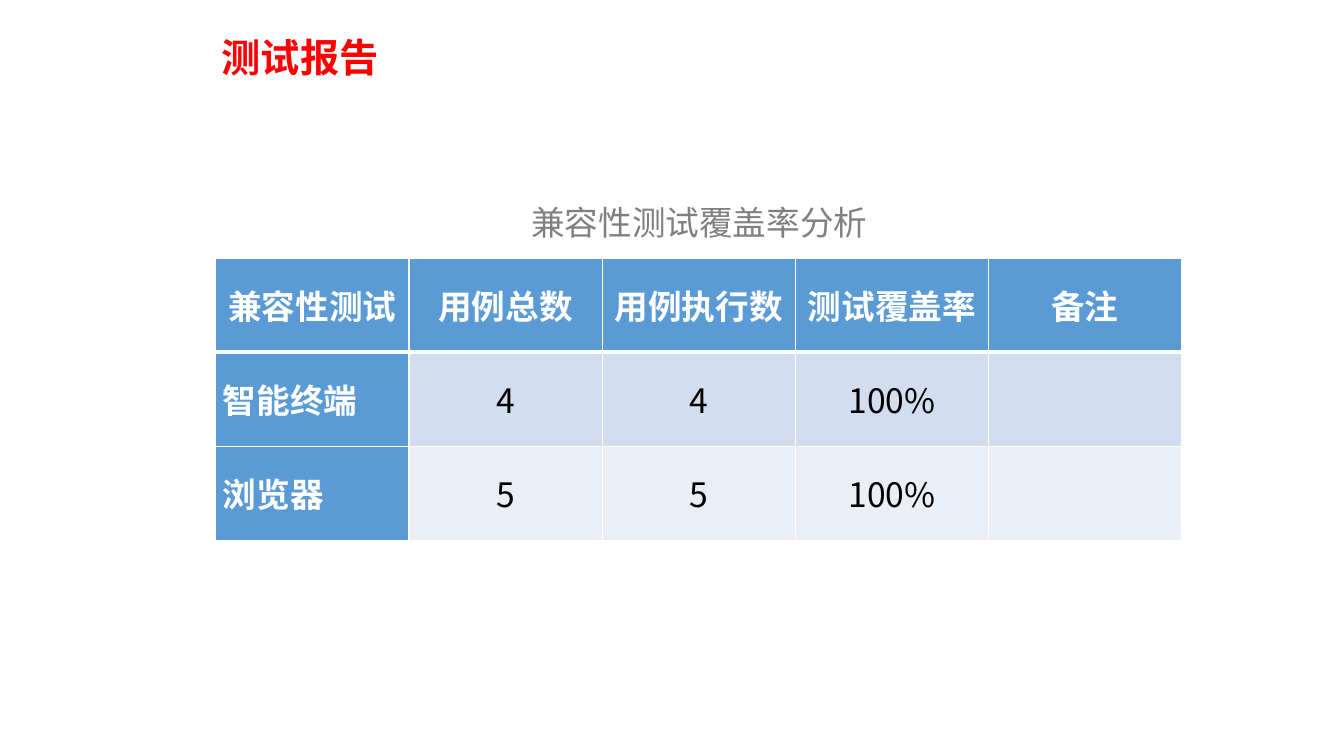
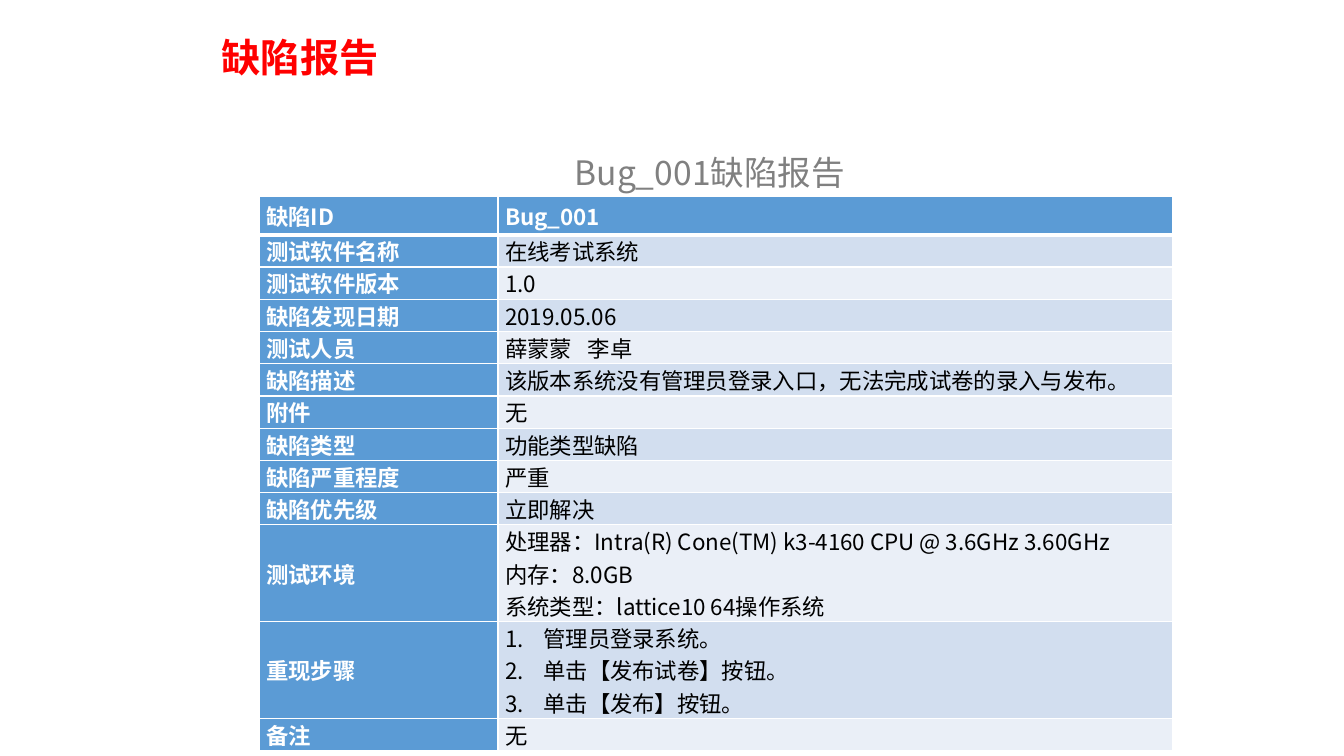
"""Build the test report and defect report slides."""
from lxml.etree import SubElement
from pptx import Presentation
from pptx.dml.color import RGBColor as RGB
from pptx.enum.text import MSO_ANCHOR as Anchor, MSO_AUTO_SIZE as AutoSize, PP_ALIGN as Align
from pptx.oxml.ns import qn
from pptx.util import Inches, Pt

FONT = "Noto Sans CJK SC"
RED = RGB(0xFF, 0x00, 0x00)
GRAY = RGB(0x80, 0x80, 0x80)
WHITE = RGB(0xFF, 0xFF, 0xFF)
BLACK = RGB(0x00, 0x00, 0x00)
BLUE = RGB(0x5B, 0x9B, 0xD5)
BANDS = (RGB(0xD2, 0xDE, 0xEF), RGB(0xEA, 0xEF, 0xF7))

COVERAGE = [
    ("兼容性测试", "用例总数", "用例执行数", "测试覆盖率", "备注"),
    ("智能终端", "4", "4", "100%", ""),
    ("浏览器", "5", "5", "100%", ""),
]
STEPS = ["管理员登录系统。", "单击【发布试卷】按钮。", "单击【发布】按钮。"]
DEFECT = [
    ("缺陷ID", "Bug_001"),
    ("测试软件名称", "在线考试系统"),
    ("测试软件版本", "1.0"),
    ("缺陷发现日期", "2019.05.06"),
    ("测试人员", "薛蒙蒙\t李卓"),
    ("缺陷描述", "该版本系统没有管理员登录入口，无法完成试卷的录入与发布。"),
    ("附件", "无"),
    ("缺陷类型", "功能类型缺陷"),
    ("缺陷严重程度", "严重"),
    ("缺陷优先级", "立即解决"),
    ("测试环境", "处理器：Intra(R) Cone(TM) k3-4160 CPU @ 3.6GHz 3.60GHz\n"
     "内存：8.0GB\n系统类型：lattice10 64操作系统"),
    ("重现步骤", STEPS),
    ("备注", "无"),
]
SLIDES = [
    dict(title="测试报告", caption="兼容性测试覆盖率分析", caption_box=(5.17, 1.75, 3.72, 0.8),
         rows=COVERAGE, at=(2.14, 2.56), widths=[9.58 / 5] * 5, heights=[2.8 / 3] * 3,
         size=24, align=Align.CENTER),
    dict(title="缺陷报告", caption="Bug_001缺陷报告", caption_box=(5.6, 1.26, 3.09, 0.79),
         rows=DEFECT, at=(2.57, 1.95), widths=[2.37, 6.69],
         heights=[0.38] + [0.32] * 9 + [0.96] * 2 + [0.32],
         size=16, align=Align.JUSTIFY),
]


def add_run(p, text, size, color, bold=False):
    r = p.add_run()
    r.text = text
    f = r.font
    f.size, f.bold, f.name = Pt(size), bold, FONT
    f.color.rgb = color
    SubElement(f._element, qn("a:ea"), typeface=FONT)


def set_borders(cell, top, bottom):
    tc_pr = cell._tc.get_or_add_tcPr()
    for side, width in (("L", 1), ("R", 1), ("T", top), ("B", bottom)):
        ln = SubElement(tc_pr, qn(f"a:ln{side}"), w=str(Pt(width)))
        fill = SubElement(ln, qn("a:solidFill"))
        SubElement(fill, qn("a:srgbClr"), val=str(WHITE))


def number_paragraph(p):
    p_pr = p._p.get_or_add_pPr()
    p_pr.set("marL", str(Inches(0.38)))
    p_pr.set("indent", str(-Inches(0.38)))
    SubElement(p_pr, qn("a:buFont"), typeface="+mj-lt")
    SubElement(p_pr, qn("a:buAutoNum"), type="arabicPeriod")


def add_tab_stop(p, pos):
    tabs = SubElement(p._p.get_or_add_pPr(), qn("a:tabLst"))
    SubElement(tabs, qn("a:tab"), pos=str(Inches(pos)), algn="l")


def fill_cell(cell, content, size, align, color, bold):
    cell.vertical_anchor = Anchor.MIDDLE
    cell.margin_left = cell.margin_right = Inches(0.07)
    cell.margin_top = cell.margin_bottom = 0
    numbered = isinstance(content, list)
    lines = content if numbered else content.split("\n")
    tf = cell.text_frame
    for i, line in enumerate(lines):
        p = tf.paragraphs[0] if i == 0 else tf.add_paragraph()
        p.alignment = align
        if numbered:
            number_paragraph(p)
        if "\t" in line:
            add_tab_stop(p, 0.82)
        if line:
            add_run(p, line, size, color, bold)


def add_grid(s, rows, at, widths, heights, size, align):
    x, y = at
    table = s.shapes.add_table(len(rows), len(widths), Inches(x), Inches(y),
                               Inches(sum(widths)), Inches(sum(heights))).table
    for column, width in zip(table.columns, widths):
        column.width = Inches(width)
    for i, (row, height) in enumerate(zip(rows, heights)):
        table.rows[i].height = Inches(height)
        for j, content in enumerate(row):
            cell = table.cell(i, j)
            head = i == 0 or j == 0
            set_borders(cell, 3 if i == 1 else 1, 3 if i == 0 else 1)
            cell.fill.solid()
            cell.fill.fore_color.rgb = BLUE if head else BANDS[(i - 1) % 2]
            fill_cell(cell, content, size, Align.JUSTIFY if i and not j else align,
                      WHITE if head else BLACK, head)


def set_title(s, text):
    sp = s.shapes.title
    sp.left, sp.top, sp.width, sp.height = map(Inches, (2.1, 0.3, 10.03, 0.58))
    tf = sp.text_frame
    tf.auto_size, tf.vertical_anchor = AutoSize.NONE, Anchor.MIDDLE
    p = tf.paragraphs[0]
    p.alignment, p.line_spacing = Align.LEFT, 0.9
    add_run(p, text, 28, RED, True)


def add_caption(s, text, box):
    tf = s.shapes.add_textbox(*map(Inches, box)).text_frame
    tf.word_wrap = True
    p = tf.paragraphs[0]
    p.line_spacing = 1.5
    add_run(p, text, 24, GRAY)


def main():
    prs = Presentation()
    prs.slide_width, prs.slide_height = Inches(13.33), Inches(7.5)
    for d in SLIDES:
        s = prs.slides.add_slide(prs.slide_layouts[5])
        set_title(s, d["title"])
        add_caption(s, d["caption"], d["caption_box"])
        add_grid(s, d["rows"], d["at"], d["widths"], d["heights"], d["size"], d["align"])
    prs.save("out.pptx")


if __name__ == "__main__":
    main()
